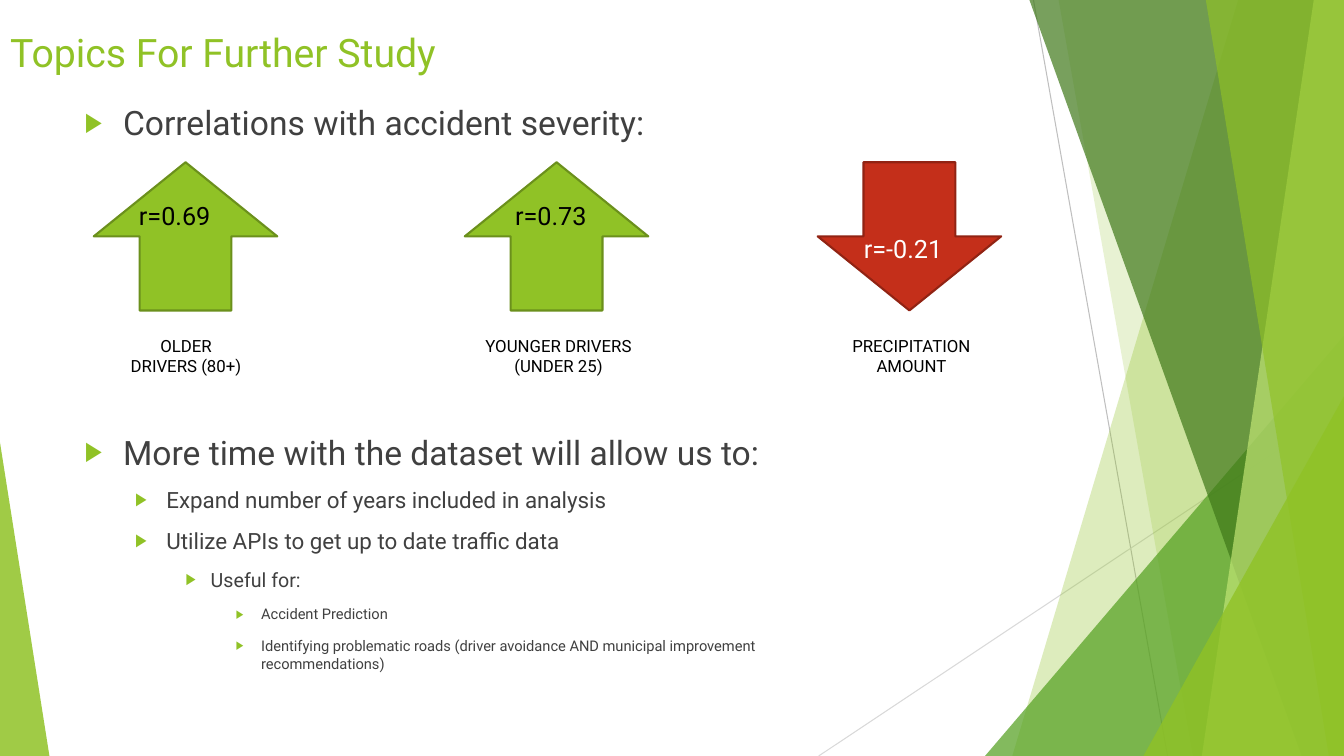
from lxml import etree
from pptx import Presentation
from pptx.dml.color import RGBColor
from pptx.enum.shapes import MSO_CONNECTOR, MSO_SHAPE
from pptx.enum.text import MSO_ANCHOR, MSO_AUTO_SIZE as AutoSize, PP_ALIGN
from pptx.oxml.ns import qn
from pptx.util import Inches, Pt

WIDTH, HEIGHT = 13.33, 7.5
COLORS = {
    "lime": "90C226", "olive": "6B901C", "leaf": "54A021", "forest": "3F7819",
    "pale": "C0E474", "red": "C42F1A", "maroon": "912313", "ink": "404040",
    "black": "000000", "white": "FFFFFF", "gray": "BFBFBF", "silver": "D9D9D9",
}

# Each outline runs from (top x, bottom x) on its left edge to the slide's right edge.
SHARDS = {
    "outlines": [
        (12.28, 10.04, "lime", 30), (10.5, 11.83, "lime", 20),
        (10.21, 12.91, "forest", 70), (13.03, 11.92, "pale", 70),
        (11.96, 13.18, "lime", 65),
    ],
    # left, top, width, apex position, colour, opacity
    "triangles": [
        (9.77, 3.33, 3.56, 1, "leaf", 72), (11.34, 3.93, 1.99, 1, "lime", 80),
        (0, 4.39, 0.49, 0, "lime", 85),
    ],
}

# arrow left, value left and top, caption left and width, value, caption, look
CORRELATIONS = [
    (0.93, 1.28, 1.94, 1.15, 1.39, "r=0.69", "OLDER DRIVERS (80+)", "up"),
    (4.61, 5.01, 1.94, 4.63, 1.82, "r=0.73", "YOUNGER DRIVERS (UNDER 25)", "up"),
    (8.11, 8.47, 2.27, 8.13, 1.82, "r=-0.21", "PRECIPITATION AMOUNT", "down"),
]
ARROW_LOOKS = {  # rotation, fill, outline, value colour
    "up": (180, "lime", "olive", "black"),
    "down": (0, "red", "maroon", "white"),
}

LEVELS = {  # left margin, hanging indent, text size
    0: (0.38, 0.38, 24), 1: (0.81, 0.31, 16),
    2: (1.25, 0.25, 14), 3: (1.75, 0.25, 10.5),
}
PLANS = [
    (1, "Expand number of years included in analysis"),
    (1, "Utilize APIs to get up to date traffic data"),
    (2, "Useful for:"),
    (3, "Accident Prediction"),
    (3, "Identifying problematic roads (driver avoidance AND municipal "
        "improvement recommendations)"),
]


def rgb(name):
    return RGBColor.from_string(COLORS[name])


def place(shape, left, top, width, height):
    box = {"left": left, "top": top, "width": width, "height": height}
    for side, inches in box.items():
        setattr(shape, side, Inches(inches))


def write(paragraph, text, size, color, align=PP_ALIGN.LEFT):
    paragraph.alignment = align
    run = paragraph.add_run()
    run.text = text
    look = {"name": "Roboto", "size": Pt(size), "bold": False}
    for attribute, value in look.items():
        setattr(run.font, attribute, value)
    run.font.color.rgb = rgb(color)


def set_frame(shape, anchor):
    look = {"word_wrap": True, "auto_size": AutoSize.NONE, "vertical_anchor": anchor}
    for attribute, value in look.items():
        setattr(shape.text_frame, attribute, value)


def add_bullet(paragraph):
    """Give the paragraph a green triangle bullet with its level's indent."""
    margin, hanging, _ = LEVELS[paragraph.level]
    props = paragraph._p.get_or_add_pPr()
    props.set("marL", str(Inches(margin)))
    props.set("indent", str(-Inches(hanging)))
    bullet_color = etree.SubElement(props, qn("a:buClr"))
    etree.SubElement(bullet_color, qn("a:srgbClr"), val=COLORS["lime"])
    etree.SubElement(props, qn("a:buSzPct"), val="80000")
    etree.SubElement(props, qn("a:buChar"), char="▶")


def fill_list(body, box, items, line_spacing=1.0):
    place(body, *box)
    set_frame(body, MSO_ANCHOR.MIDDLE)
    frame = body.text_frame
    for index, (level, text) in enumerate(items):
        paragraph = frame.add_paragraph() if index else frame.paragraphs[0]
        paragraph.level = level
        paragraph.space_before = Pt(10)
        paragraph.line_spacing = line_spacing
        write(paragraph, text, LEVELS[level][2], "ink")
        add_bullet(paragraph)


def add_label(slide, box, text, size, color, align=PP_ALIGN.LEFT):
    label = slide.shapes.add_textbox(*map(Inches, box))
    set_frame(label, MSO_ANCHOR.TOP)
    write(label.text_frame.paragraphs[0], text, size, color, align)


def paint(shape, color, opacity):
    """Fill a borderless shape with a partly transparent colour."""
    shape.shadow.inherit = False
    shape.line.fill.background()
    shape.fill.solid()
    shape.fill.fore_color.rgb = rgb(color)
    tint = shape._element.spPr.find(f".//{qn('a:srgbClr')}")
    etree.SubElement(tint, qn("a:alpha"), val=str(opacity * 1000))


def add_hairline(slide, start, end, color):
    line = slide.shapes.add_connector(
        MSO_CONNECTOR.STRAIGHT, *map(Inches, start + end))
    line.line.color.rgb = rgb(color)
    line.line.width = Pt(0.75)
    etree.SubElement(line._element.spPr, qn("a:effectLst"))


def add_outline(slide, top_x, bottom_x, color, opacity):
    corners = [(WIDTH, 0), (WIDTH, HEIGHT), (bottom_x, HEIGHT)]
    outline = slide.shapes.build_freeform(Inches(top_x), 0)
    outline.add_line_segments([(Inches(x), Inches(y)) for x, y in corners])
    paint(outline.convert_to_shape(), color, opacity)


def add_triangle(slide, left, top, width, apex, color, opacity):
    triangle = slide.shapes.add_shape(
        MSO_SHAPE.ISOSCELES_TRIANGLE,
        *map(Inches, (left, top, width, HEIGHT - top)))
    triangle.adjustments[0] = apex
    paint(triangle, color, opacity)


def add_backdrop(slide):
    add_hairline(slide, (10.25, 0), (11.58, HEIGHT), "gray")
    add_hairline(slide, (WIDTH, 4.03), (8.12, HEIGHT), "silver")
    outlines, triangles = SHARDS["outlines"], SHARDS["triangles"]
    for outline in outlines[:2]:
        add_outline(slide, *outline)
    add_triangle(slide, *triangles[0])
    for outline in outlines[2:]:
        add_outline(slide, *outline)
    for triangle in triangles[1:]:
        add_triangle(slide, *triangle)


def add_correlation(slide, arrow_left, value_left, value_top,
                    caption_left, caption_width, value, caption, look):
    rotation, fill, outline, value_color = ARROW_LOOKS[look]
    arrow = slide.shapes.add_shape(
        MSO_SHAPE.DOWN_ARROW, *map(Inches, (arrow_left, 1.61, 1.82, 1.47)))
    arrow.shadow.inherit = False
    arrow.rotation = rotation
    arrow.fill.solid()
    arrow.fill.fore_color.rgb = rgb(fill)
    arrow.line.color.rgb = rgb(outline)
    arrow.line.width = Pt(1.5)
    add_label(slide, (value_left, value_top, 1.13, 0.4), value, 18, value_color)
    add_label(slide, (caption_left, 3.28, caption_width, 0.5), caption, 12,
              "black", PP_ALIGN.CENTER)


def main():
    deck = Presentation()
    deck.slide_width, deck.slide_height = Inches(WIDTH), Inches(HEIGHT)
    slide = deck.slides.add_slide(deck.slide_layouts.get_by_name("Comparison"))
    title, findings, plans, outlook, spare = slide.placeholders
    spare._element.getparent().remove(spare._element)

    add_backdrop(slide)
    for holder in (title, findings, outlook, plans):  # bring text above the backdrop
        slide.shapes._spTree.append(holder._element)

    place(title, 0, 0.23, 10.41, 0.76)
    set_frame(title, MSO_ANCHOR.TOP)
    write(title.text_frame.paragraphs[0], "Topics For Further Study", 28, "lime")
    fill_list(findings, (0.74, 0.83, 7.7, 0.56),
              [(0, "Correlations with accident severity:")], 1.5)
    fill_list(outlook, (0.74, 4, 7.7, 0.76),
              [(0, "More time with the dataset will allow us to:")], 1.5)
    fill_list(plans, (0.74, 4.83, 7.7, 1.83), PLANS)

    for correlation in CORRELATIONS:
        add_correlation(slide, *correlation)
    deck.save("out.pptx")


if __name__ == "__main__":
    main()
